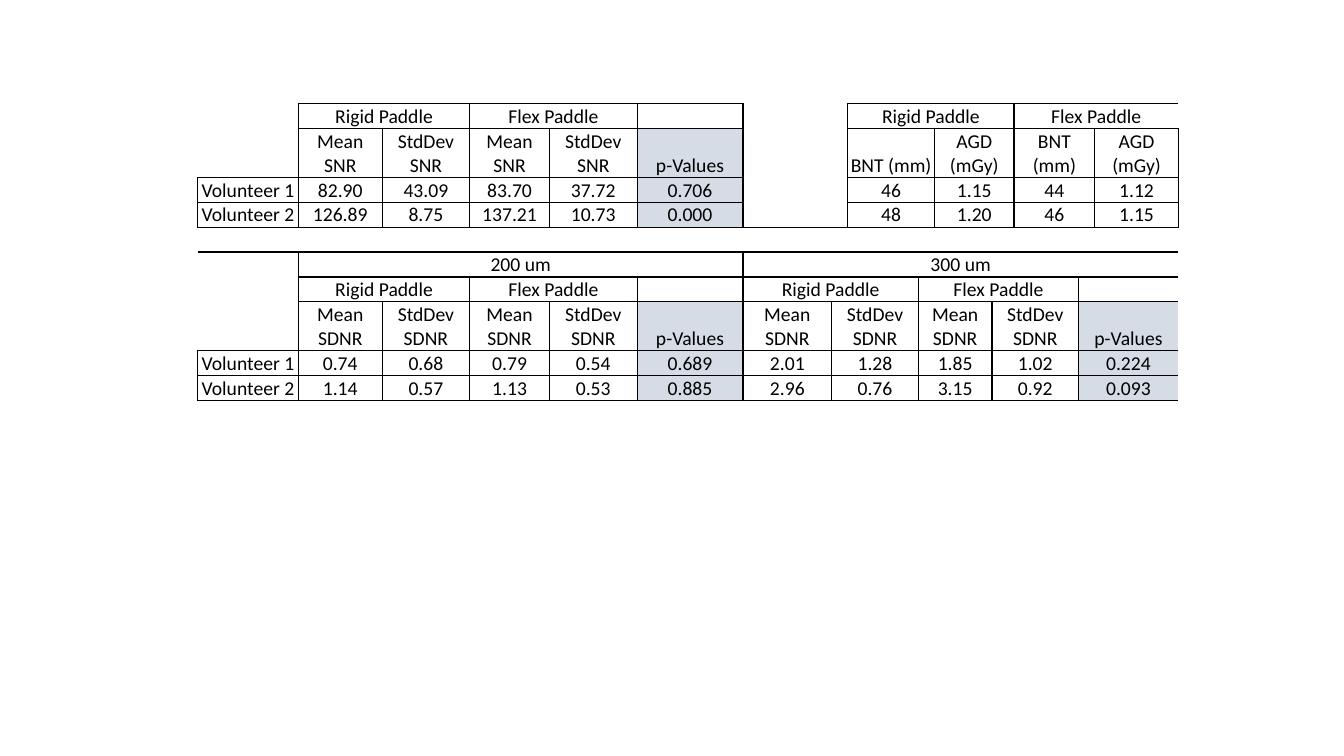
import pptx
import pptx.util
import pptx.dml.color
import pptx.enum.text
import pptx.oxml.ns
from lxml import etree

Inches, Pt = pptx.util.Inches, pptx.util.Pt
COLORS = {"ink": "000000", "p_value": "D6DCE5"}
NO_GRID_STYLE = "{2D5ABB26-0587-4C30-8999-92F81FD0307C}"

# Grid: column widths, and row heights counted in text lines
LINE = 0.24
COLUMNS = [1, 0.83, 0.87, 0.79, 0.87, 1.05, 0.88, 0.16, 0.7, 0.16,
           0.57, 0.22, 0.64, 0.16, 0.83]
ROW_LINES = [1, 2, 1, 1, 1, 1, 1, 2, 1, 1]

# Column spans of the body rows, then every row as (spans, texts)
SNR_SPANS = [1] * 6 + [2] * 4 + [1]
SDNR_SPANS = [1] * 7 + [2] * 4
ROWS = [
    ([1, 2, 2, 1, 2, 4, 3], "|Rigid Paddle|Flex Paddle|||Rigid Paddle|Flex Paddle"),
    (SNR_SPANS, "|Mean SNR|StdDev SNR|Mean SNR|StdDev SNR|p-Values||"
                "BNT (mm)|AGD (mGy)|BNT (mm)|AGD (mGy)"),
    (SNR_SPANS, "Volunteer 1|82.90|43.09|83.70|37.72|0.706||46|1.15|44|1.12"),
    (SNR_SPANS, "Volunteer 2|126.89|8.75|137.21|10.73|0.000||48|1.20|46|1.15"),
    ([15], ""),
    ([1, 5, 9], "|200 um|300 um"),
    ([1, 2, 2, 1, 3, 4, 2], "|Rigid Paddle|Flex Paddle||Rigid Paddle|Flex Paddle|"),
    (SDNR_SPANS, "|Mean SDNR|StdDev SDNR|Mean SDNR|StdDev SDNR|p-Values|"
                 "Mean SDNR|StdDev SDNR|Mean SDNR|StdDev SDNR|p-Values"),
    (SDNR_SPANS, "Volunteer 1|0.74|0.68|0.79|0.54|0.689|2.01|1.28|1.85|1.02|0.224"),
    (SDNR_SPANS, "Volunteer 2|1.14|0.57|1.13|0.53|0.885|2.96|0.76|3.15|0.92|0.093"),
]
CORNER_HEIGHTS = {0: 2, 5: 3}
CORNER_ROWS = [0, 1, 5, 6, 7]
SPACER_ROW = 4
SNR_ROWS = range(4)
GAP_COLUMN = 6
P_VALUE_COLUMNS = {**dict.fromkeys([1, 2, 3], [5]), **dict.fromkeys([7, 8, 9], [5, 13])}
CELL_FORMAT = {"margin_left": Inches(0.01), "margin_right": Inches(0.01),
               "margin_top": Inches(0.01), "margin_bottom": 0,
               "vertical_anchor": pptx.enum.text.MSO_ANCHOR.BOTTOM}


def add_border(cell, side):
    qn = pptx.oxml.ns.qn
    line = etree.SubElement(cell._tc.get_or_add_tcPr(), qn("a:ln" + side), w=str(Pt(1)))
    fill = etree.SubElement(line, qn("a:solidFill"))
    etree.SubElement(fill, qn("a:srgbClr"), val=COLORS["ink"])


def edges_of(row, column):
    if row == SPACER_ROW:
        return "T"
    if column == 0 and row in CORNER_ROWS:
        return "RB"
    if column == GAP_COLUMN and row in SNR_ROWS:
        return "LR"
    return "LRTB"


# Slide and table
deck = pptx.Presentation()
deck.slide_width, deck.slide_height = Inches(13.33), Inches(7.5)
slide = deck.slides.add_slide(deck.slide_layouts[6])
results = slide.shapes.add_table(
    len(ROW_LINES), len(COLUMNS), Inches(1.96), Inches(1.03),
    Inches(sum(COLUMNS)), Inches(LINE * sum(ROW_LINES))).table
results.first_row = results.horz_banding = False
results._tbl.tblPr.find(pptx.oxml.ns.qn("a:tableStyleId")).text = NO_GRID_STYLE
for column, width in zip(results.columns, COLUMNS):
    column.width = Inches(width)
for row, lines in zip(results.rows, ROW_LINES):
    row.height = Inches(LINE * lines)

# Compact cells, so that empty ones keep the line height too
for cell in results.iter_cells():
    for name, value in CELL_FORMAT.items():
        setattr(cell, name, value)

# Texts, borders and fills
for top, (spans, texts) in enumerate(ROWS):
    left = 0
    for span, text in zip(spans, texts.split("|")):
        right = left + span - 1
        bottom = top + (CORNER_HEIGHTS.get(top, 1) if left == 0 else 1) - 1
        cell = results.cell(top, left)
        if text:
            paragraph = cell.text_frame.paragraphs[0]
            paragraph.alignment = pptx.enum.text.PP_ALIGN.CENTER
            label = paragraph.add_run()
            label.text = text
            label.font.size, label.font.name = Pt(14), "Calibri"
            label.font.color.rgb = pptx.dml.color.RGBColor.from_string(COLORS["ink"])

        # Only the outer edges of a merged block get a border
        edges = edges_of(top, left)
        if not (left == 0 and top in CORNER_ROWS and top not in CORNER_HEIGHTS):
            for r in range(top, bottom + 1):
                for c in range(left, right + 1):
                    outer = {"L": c == left, "R": c == right,
                             "T": r == top, "B": r == bottom}
                    for side in edges:
                        if outer[side]:
                            add_border(results.cell(r, c), side)
            if (top, left) != (bottom, right):
                cell.merge(results.cell(bottom, right))

        if left in P_VALUE_COLUMNS.get(top, []):
            cell.fill.solid()
            cell.fill.fore_color.rgb = pptx.dml.color.RGBColor.from_string(COLORS["p_value"])
        else:
            cell.fill.background()
        left += span

# Font size of the cells without text
for cell in results.iter_cells():
    paragraph = cell.text_frame.paragraphs[0]
    if not paragraph.runs:
        etree.SubElement(paragraph._p, pptx.oxml.ns.qn("a:endParaRPr"), sz="1400")

deck.save("out.pptx")
